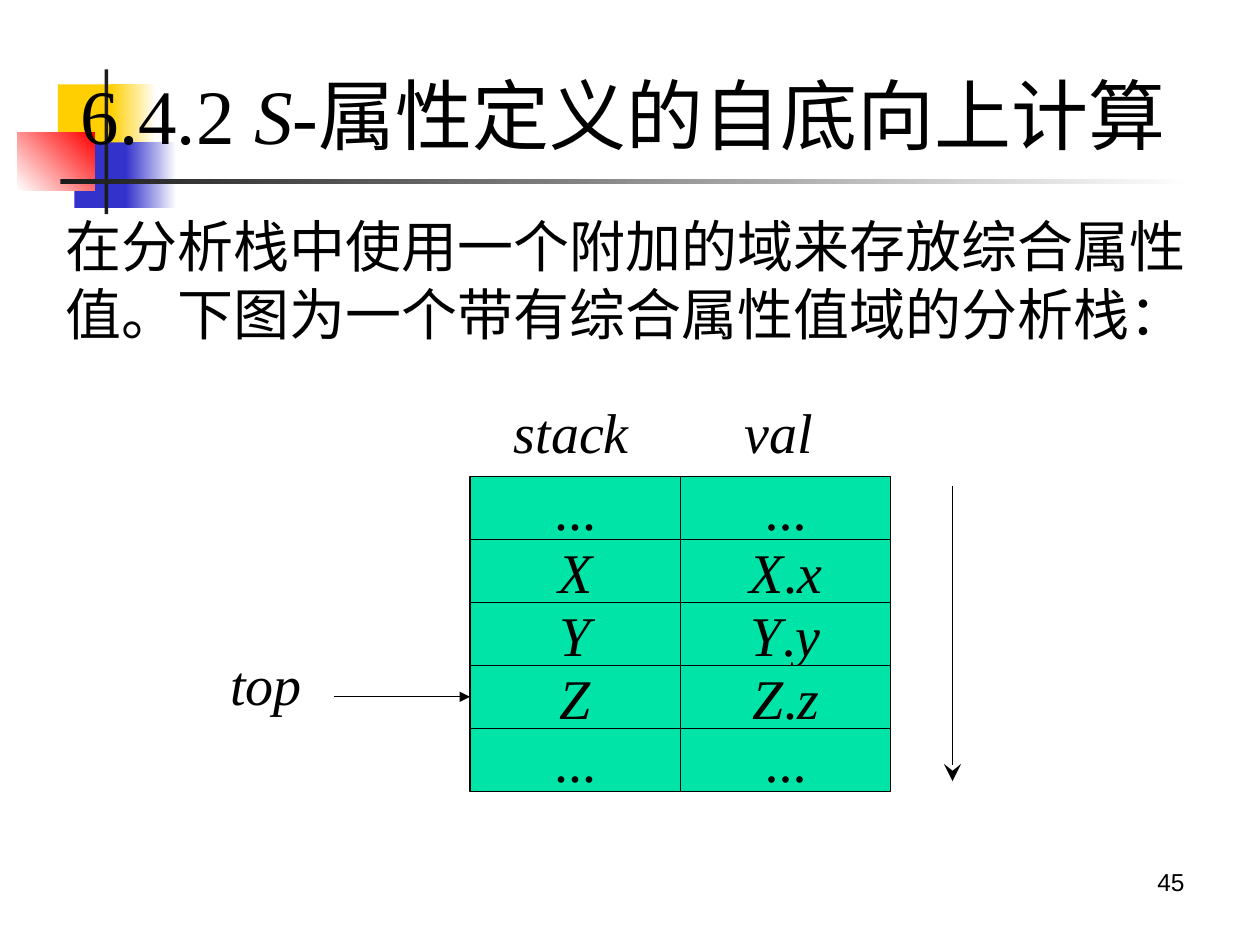
import dataclasses

import pptx
import pptx.dml.color
import pptx.enum.shapes
import pptx.enum.text
import pptx.oxml
import pptx.oxml.ns
import pptx.util

Inches = pptx.util.Inches
Pt = pptx.util.Pt
ALIGN = pptx.enum.text.PP_ALIGN
ANCHOR = pptx.enum.text.MSO_ANCHOR
RECT = pptx.enum.shapes.MSO_SHAPE.RECTANGLE
STRAIGHT = pptx.enum.shapes.MSO_CONNECTOR.STRAIGHT


@dataclasses.dataclass(frozen=True)
class Theme:
    ink: str = "000000"
    white: str = "FFFFFF"
    yellow: str = "FFCF01"
    blue: str = "3333CC"
    red: str = "FF0000"
    rule: str = "1C1C1C"
    cell: str = "00E4A8"
    latin: str = "Times New Roman"
    cjk: str = "Noto Sans CJK SC"
    sans: str = "Arial"
    title: int = 44
    body: int = 32
    number: int = 14
    line: float = 0.75


T = Theme()


def rgb(value):
    return pptx.dml.color.RGBColor.from_string(value)


def add_runs(p, runs, size, font=T.latin):
    """Add (text, italic) runs, with the CJK font for East Asian letters."""
    for text, italic in runs:
        r = p.add_run()
        r.text = text
        r.font.size = Pt(size)
        r.font.name = font
        r.font.italic = italic
        r.font.color.rgb = rgb(T.ink)
        ea = pptx.oxml.parse_xml(
            f'<a:ea {pptx.oxml.ns.nsdecls("a")} typeface="{T.cjk}"/>')
        r.font._element.find(pptx.oxml.ns.qn("a:latin")).addnext(ea)


def add_rect(s, box, *colors, angle=0):
    """Add a borderless rectangle: one colour is solid, two make a gradient."""
    sp = s.shapes.add_shape(RECT, *map(Inches, box))
    sp.shadow.inherit = False
    sp.line.fill.background()
    if len(colors) == 1:
        sp.fill.solid()
        sp.fill.fore_color.rgb = rgb(colors[0])
    else:
        sp.fill.gradient()
        sp.fill.gradient_angle = angle
        for stop, color in zip(sp.fill.gradient_stops, colors):
            stop.color.rgb = rgb(color)
    return sp


def add_text(s, box, runs, size, font=T.latin, align=ALIGN.LEFT):
    sp = s.shapes.add_textbox(*map(Inches, box))
    tf = sp.text_frame
    tf.word_wrap = True
    p = tf.paragraphs[0]
    p.alignment = align
    add_runs(p, runs, size, font)
    return p


def add_arrow(s, start, end, head, size="med"):
    cx = s.shapes.add_connector(STRAIGHT, *map(Inches, start + end))
    cx.line.color.rgb = rgb(T.ink)
    cx.line.width = Pt(T.line)
    ns = pptx.oxml.ns.nsdecls("a")
    cx.line._get_or_add_ln().append(pptx.oxml.parse_xml(
        f'<a:tailEnd {ns} type="{head}" w="{size}" len="{size}"/>'))
    cx._element.spPr.append(pptx.oxml.parse_xml(f"<a:effectLst {ns}/>"))
    return cx


def draw_ornament(s, left, top):
    """Draw the coloured blocks and the crossed rules behind the title."""
    for x, y, w, h, colors, angle in (
        (0.32, 0.12, 0.48, 0.52, (T.yellow,), 0),
        (0.74, 0.12, 0.36, 0.52, (T.yellow, T.white), 0),
        (0.45, 0.58, 0.46, 0.52, (T.blue,), 0),
        (0.86, 0.58, 0.40, 0.52, (T.blue, T.white), 0),
        (0.00, 0.50, 0.61, 0.46, (T.white, T.red), 45),
        (0.69, 0.00, 0.03, 1.15, (T.rule,), 0),
        (0.34, 0.87, 9.00, 0.04, (T.rule, T.white), 0),
    ):
        add_rect(s, (left + x, top + y, w, h), *colors, angle=angle)


def place_title(s, box, runs):
    title = s.shapes.title
    title.left, title.top, title.width, title.height = map(Inches, box)
    tf = title.text_frame
    tf.word_wrap = True
    tf.margin_right = 0
    tf.vertical_anchor = ANCHOR.MIDDLE
    p = tf.paragraphs[0]
    p.alignment = ALIGN.LEFT
    add_runs(p, runs, T.title)
    s.shapes._spTree.append(title._element)  # in front of the ornament


def draw_cell(s, box, runs):
    sp = add_rect(s, box, T.cell)
    sp.line.color.rgb = rgb(T.ink)
    sp.line.width = Pt(T.line)
    tf = sp.text_frame
    tf.word_wrap = False
    tf.vertical_anchor = ANCHOR.MIDDLE
    p = tf.paragraphs[0]
    p.alignment = ALIGN.CENTER
    add_runs(p, runs, T.body)
    return sp


def draw_stack(s, left, top, width, height, symbols, top_symbol):
    """Draw the symbol and value columns, their labels and both arrows."""
    col_w, row_h = width / 2, height / len(symbols)
    for x, w, name in ((0.25, 1.24, "stack"), (2.08, 0.83, "val")):
        add_text(s, (left + x, top - 0.67, w, 0.64), [(name, True)], T.body)

    for i, symbol in enumerate(symbols):
        y = top + i * row_h
        if symbol == "...":
            name = value = [(symbol, False)]
        else:
            name = [(symbol, True)]
            value = name + [(".", False), (symbol.lower(), True)]
        cell = draw_cell(s, (left, y, col_w, row_h), name)
        draw_cell(s, (left + col_w, y, col_w, row_h), value)
        if symbol == top_symbol:
            middle = y + row_h / 2
            add_text(s, (left - 2, middle - 0.42, 1.08, 0.64),
                     [("top", True)], T.body)
            pointer = add_arrow(s, (left - 1.08, middle), (left, middle),
                                "triangle")
            pointer.end_connect(cell, 1)

    x = left + width + 0.49
    add_arrow(s, (x, top + 0.08), (x, top + height - 0.08), "stealth", "lg")


def build_stack_slide(prs):
    s = prs.slides.add_slide(prs.slide_layouts[5])
    draw_ornament(s, 0.14, 0.55)
    add_text(s, (7.17, 6.83, 2.33, 0.52), [("45", False)], T.number,
             T.sans, ALIGN.RIGHT)
    body = add_text(
        s, (0.42, 1.62, 9.23, 1.17),
        [("在分析栈中使用一个附加的域来存放综合属性值。"
          "下图为一个带有综合属性值域的分析栈：", False)],
        T.body, T.cjk)
    body.line_spacing = Pt(39)
    draw_stack(s, 3.73, 3.78, 3.34, 2.5, ("...", "X", "Y", "Z", "..."), "Z")
    place_title(s, (0.54, 0.48, 9.1, 0.84),
                [("6.4.2 ", False), ("S", True),
                 ("-属性定义的自底向上计算", False)])


def main():
    prs = pptx.Presentation()
    prs.slide_width = Inches(10)
    prs.slide_height = Inches(7.5)
    build_stack_slide(prs)
    prs.save("out.pptx")


if __name__ == "__main__":
    main()
